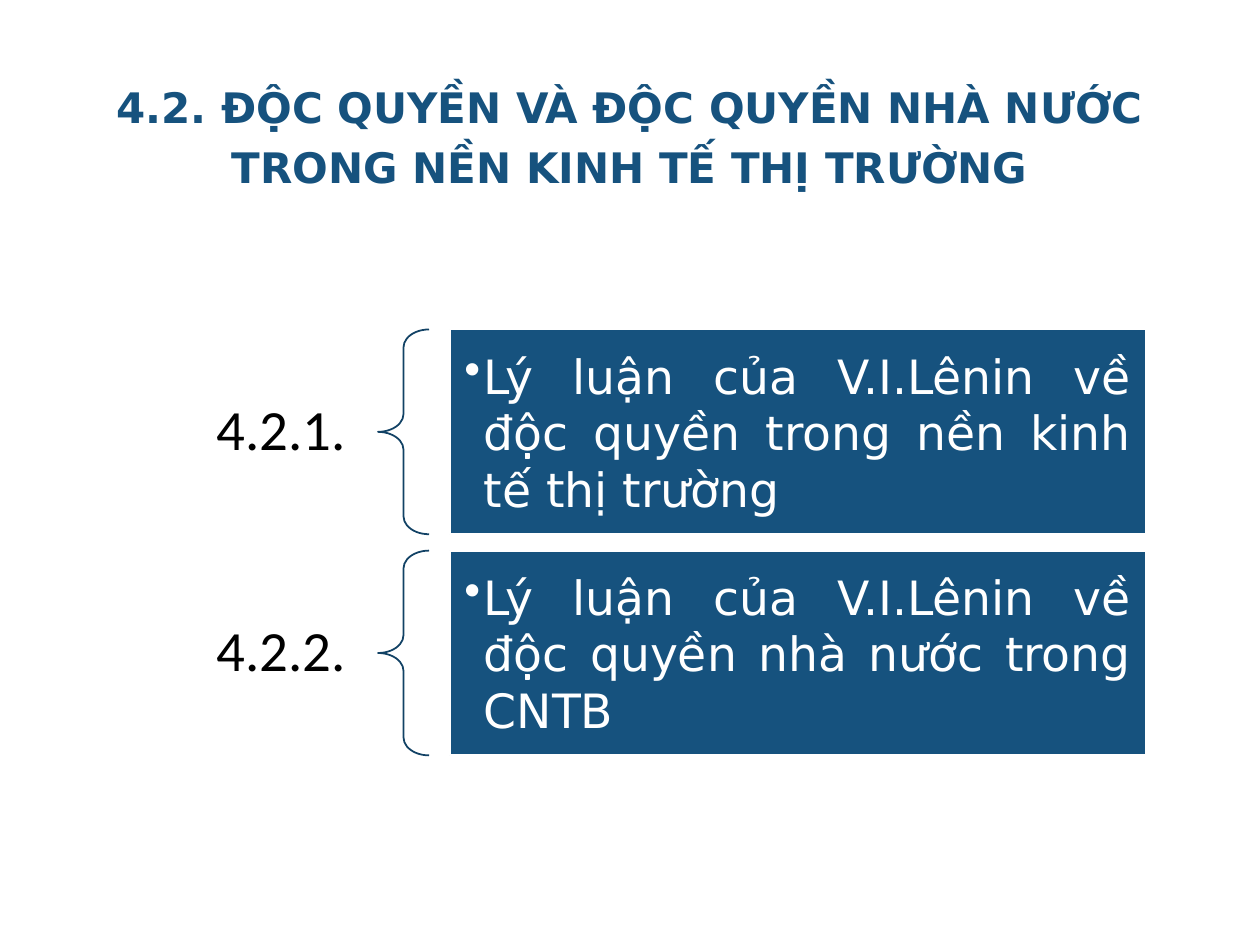
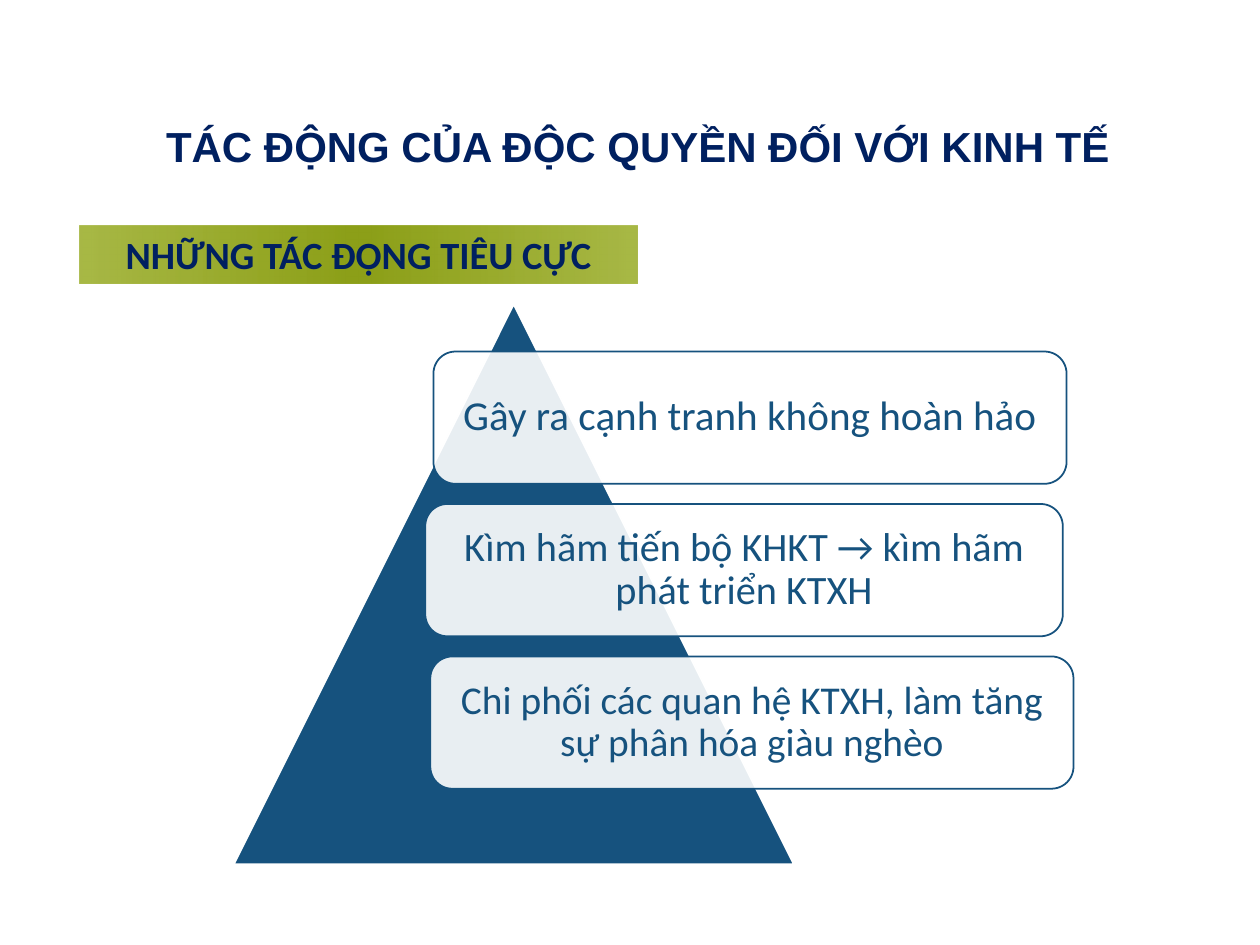
import pptx
import pptx.dml.color
import pptx.enum.shapes
import pptx.enum.text
import pptx.oxml
import pptx.oxml.ns
import pptx.util

Inches = pptx.util.Inches
Pt = pptx.util.Pt
Shape = pptx.enum.shapes.MSO_SHAPE
Align = pptx.enum.text.PP_ALIGN
Anchor = pptx.enum.text.MSO_ANCHOR

COLORS = {
    "blue": "16527E",
    "brace": "124265",
    "navy": "002060",
    "olive": "93A719",
    "dark_olive": "8C9F18",
    "white": "FFFFFF",
    "black": "000000",
}


def rgb(name):
    return pptx.dml.color.RGBColor.from_string(COLORS[name])


def add_alpha(color_element, percent):
    alpha = pptx.oxml.parse_xml(
        f'<a:alpha {pptx.oxml.ns.nsdecls("a")} val="{percent * 1000}"/>')
    color_element.append(alpha)


class Deck:
    def __init__(self):
        self.deck = pptx.Presentation()
        self.deck.slide_width = Inches(20)
        self.deck.slide_height = Inches(15)
        self.page = None

    def add_page(self):
        self.page = self.deck.slides.add_slide(self.deck.slide_layouts[6])

    def set_text(self, box, text, size, color, font="Calibri", bold=False,
                 align=Align.CENTER, anchor=Anchor.MIDDLE, insets=(0.1, 0.05),
                 spacing=None, bullet_indent=None, wrap=True):
        frame = box.text_frame
        frame.text = text
        frame.word_wrap = wrap
        frame.vertical_anchor = anchor
        frame.margin_left = frame.margin_right = Inches(insets[0])
        frame.margin_top = frame.margin_bottom = Inches(insets[1])
        for para in frame.paragraphs:
            if bullet_indent:
                self.add_bullet(para, bullet_indent)
            para.alignment = align
            para.line_spacing = spacing
            for span in para.runs:
                span.font.name = font
                span.font.size = Pt(size)
                span.font.bold = bold
                span.font.color.rgb = rgb(color)

    def add_bullet(self, para, indent):
        properties = para._p.get_or_add_pPr()
        properties.set("marL", str(Inches(indent)))
        properties.set("indent", str(-Inches(indent)))
        properties.append(pptx.oxml.parse_xml(
            f'<a:buChar {pptx.oxml.ns.nsdecls("a")} char="•"/>'))

    def text(self, place, text, size, color, **style):
        box = self.page.shapes.add_textbox(*map(Inches, place))
        self.set_text(box, text, size, color, **style)

    def title(self, place, text, color, **style):
        self.text(place, text, 48, color, bold=True, **style)

    def shape(self, kind, place, fill=None, line=None, opacity=100):
        shape = self.page.shapes.add_shape(kind, *map(Inches, place))
        shape.shadow.inherit = False
        if fill:
            shape.fill.solid()
            shape.fill.fore_color.rgb = rgb(fill)
            if opacity < 100:
                add_alpha(shape._element.spPr.find(".//" + pptx.oxml.ns.qn("a:srgbClr")), opacity)
        else:
            shape.fill.background()
        if line:
            shape.line.color.rgb = rgb(line)
            shape.line.width = Pt(2)
        else:
            shape.line.fill.background()
        return shape

    def brace(self, place):
        brace = self.shape(Shape.LEFT_BRACE, place, line="brace")
        brace.adjustments[0] = 0.35
        brace.adjustments[1] = 0.5

    def banner(self, place, text):
        banner = self.shape(Shape.RECTANGLE, place)
        banner.fill.gradient()
        banner.fill.gradient_angle = 0
        stops = banner._element.spPr.find(".//" + pptx.oxml.ns.qn("a:gsLst"))
        for stop in list(stops):
            stops.remove(stop)
        for position, color, opacity in ((0, "olive", 80), (50, "dark_olive", 100),
                                         (100, "olive", 80)):
            stop = pptx.oxml.parse_xml(
                f'<a:gs {pptx.oxml.ns.nsdecls("a")} pos="{position * 1000}">'
                f'<a:srgbClr val="{COLORS[color]}"/></a:gs>')
            add_alpha(stop[0], opacity)
            stops.append(stop)
        self.set_text(banner, text, 44, "navy", bold=True, wrap=False)

    def section(self, top, number, text):
        height = 3.25
        label_height = 1.41
        self.text((1.94, top + (height - label_height) / 2, 4.06, label_height),
                  number, 65, "black", align=Align.RIGHT, insets=(0.51, 0.18), spacing=0.9)
        self.brace((6, top, 0.81, height))
        panel = self.shape(Shape.RECTANGLE, (7.14, top, 11.05, height), "blue", "white")
        self.set_text(panel, text, 54, "white", font="DejaVu Sans", align=Align.JUSTIFY,
                      insets=(0.23, 0.23), bullet_indent=0.31)

    def card(self, left, top, width, text, size):
        card = self.shape(Shape.ROUNDED_RECTANGLE, (left, top, width, 2.1),
                          "white", "blue", opacity=90)
        self.set_text(card, text, size, "blue", insets=(0.19, 0.19), spacing=0.9)


def add_outline_page(deck):
    deck.add_page()
    sections = (
        ("4.2.1.", "Lý luận của V.I.Lênin về độc quyền trong nền kinh tế thị trường"),
        ("4.2.2.", "Lý luận của V.I.Lênin về độc quyền nhà nước trong CNTB"),
    )
    for index, (number, text) in enumerate(sections):
        deck.section(5.23 + 3.51 * index, number, text)
    deck.title((0.55, 1.08, 18.9, 2.5),
               "4.2. ĐỘC QUYỀN VÀ ĐỘC QUYỀN NHÀ NƯỚC\nTRONG NỀN KINH TẾ THỊ TRƯỜNG",
               "blue", font="DejaVu Sans", anchor=Anchor.TOP, spacing=1.2)


def add_impact_page(deck):
    deck.add_page()
    deck.banner((1.27, 3.58, 8.85, 0.92), "NHỮNG TÁC ĐỘNG TIÊU CỰC")
    deck.title((2.17, 1.8, 15.92, 1.03), "TÁC ĐỘNG CỦA ĐỘC QUYỀN ĐỐI VỚI KINH TẾ",
               "navy", font="Arial", insets=(0.27, 0.13))
    deck.shape(Shape.ISOSCELES_TRIANGLE, (3.71, 4.83, 8.89, 8.89), "blue", "white")
    cards = (
        (6.88, 10.05, "Gây ra cạnh tranh không hoàn hảo", 47),
        (6.75, 10.12, "Kìm hãm tiến bộ KHKT → kìm hãm phát triển KTXH", 46),
        (6.83, 10.21, "Chi phối các quan hệ KTXH, làm tăng sự phân hóa giàu nghèo", 45),
    )
    for index, (left, width, text, size) in enumerate(cards):
        deck.card(left, 5.58 + 2.42 * index, width, text, size)


def main():
    deck = Deck()
    add_outline_page(deck)
    add_impact_page(deck)
    deck.deck.save("out.pptx")


if __name__ == "__main__":
    main()
